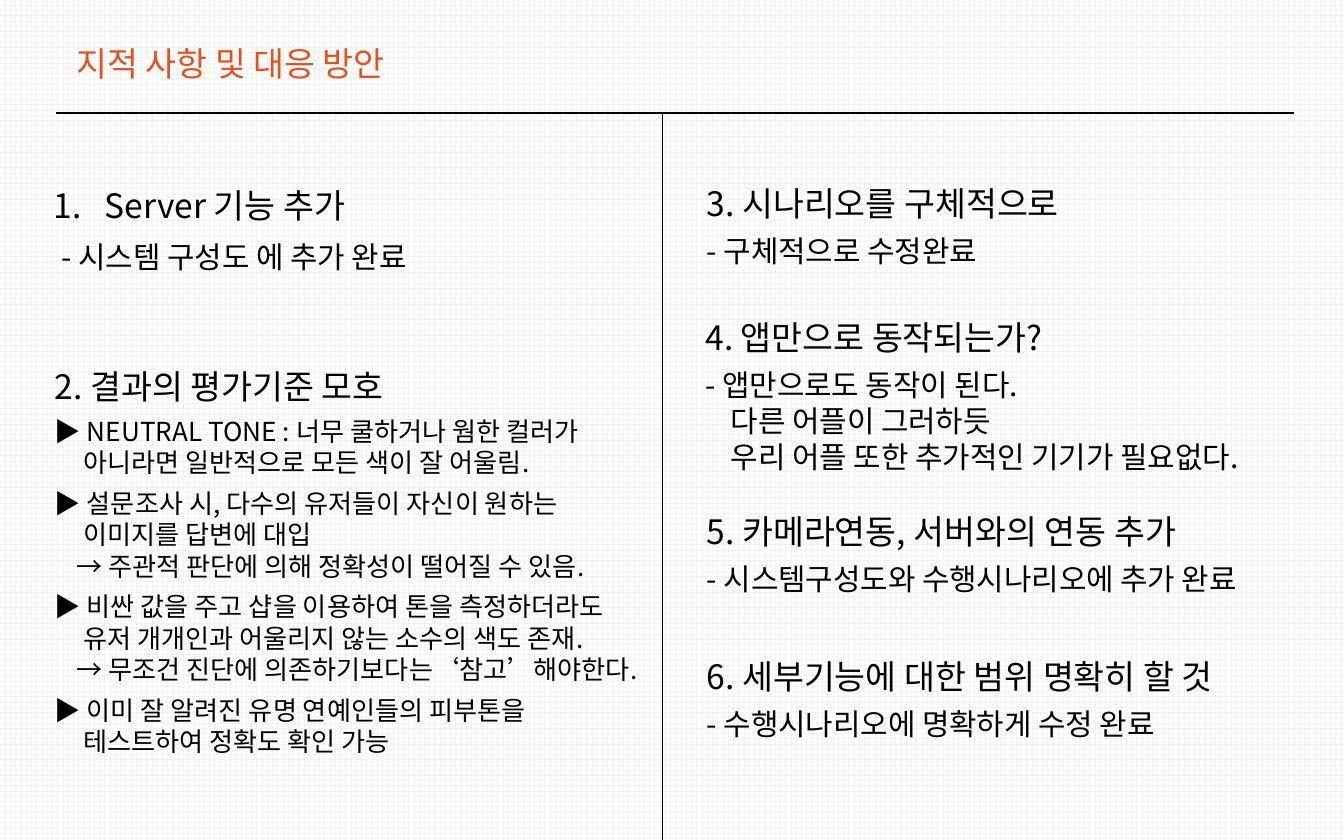
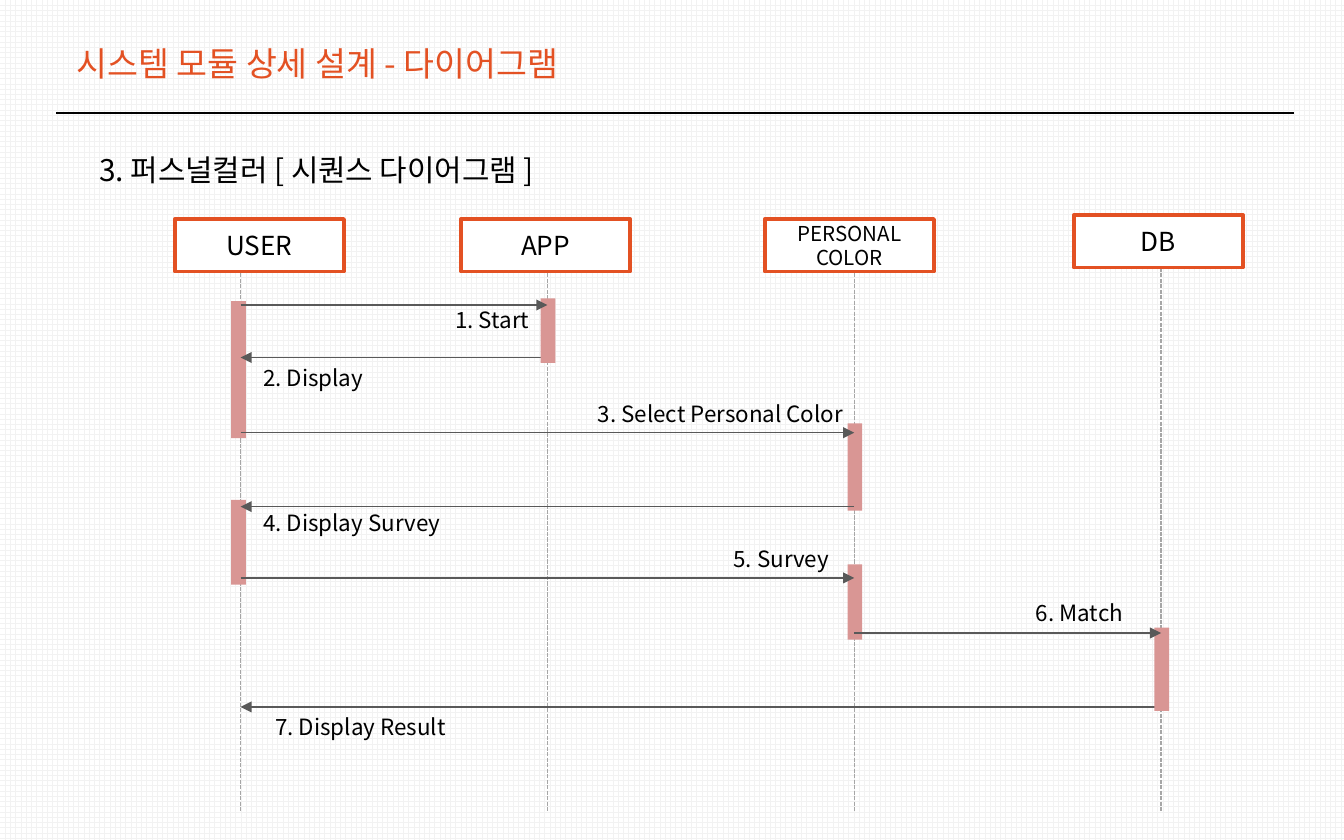
"""Build the review-response slide and the personal color sequence diagram."""
from dataclasses import dataclass

from lxml.etree import SubElement
from pptx import Presentation
from pptx.dml.color import RGBColor
from pptx.enum.dml import MSO_LINE, MSO_PATTERN
from pptx.enum.shapes import MSO_CONNECTOR, MSO_SHAPE
from pptx.enum.text import MSO_ANCHOR, MSO_AUTO_SIZE, PP_ALIGN
from pptx.oxml.ns import qn
from pptx.presentation import Presentation as Deck
from pptx.slide import Slide
from pptx.text.text import TextFrame
from pptx.util import Inches, Pt

SLIDE_WIDTH, SLIDE_HEIGHT = Inches(10), Inches(6.25)
COLUMN, ROW = SLIDE_WIDTH / 100, SLIDE_HEIGHT / 62.5
FONT = "Noto Sans CJK KR"
COLORS = {
    "text": "000000",
    "accent": "E35123",
    "paper": "FFFFFF",
    "grid": "F2F2F2",
    "lifeline": "A6A6A6",
    "message": "595959",
    "bar": "D99694",
}
TEXT_BOX_FORMAT = {"word_wrap": True, "auto_size": MSO_AUTO_SIZE.SHAPE_TO_FIT_TEXT}
ACTOR_FORMAT = {"word_wrap": True, "vertical_anchor": MSO_ANCHOR.MIDDLE}
RULE_TOP = 8.4
DIVIDER_LEFT = 49.3
ACTOR_WIDTH, ACTOR_HEIGHT = 12.6, 3.9
LIFELINE_LEFT, LIFELINE_GAP = 17.9, 22.83
LIFELINE_TOP, LIFELINE_BOTTOM = 18.7, 60.4
BAR_WIDTH = 1.1
LABEL_HEIGHT = 3


@dataclass(frozen=True)
class Area:
    left: float
    top: float
    width: float
    height: float

    def lengths(self) -> tuple[int, ...]:
        return (int(self.left * COLUMN), int(self.top * ROW),
                int(self.width * COLUMN), int(self.height * ROW))


@dataclass(frozen=True)
class Line:
    text: str
    size: float
    color: str = "text"
    before: float = 0
    margin: float = 0
    hanging: float = 0
    numbered: bool = False
    centered: bool = False


@dataclass(frozen=True)
class Note:
    area: Area
    lines: tuple[Line, ...]


@dataclass(frozen=True)
class Actor:
    name: str
    left: float
    top: float = 16.3
    size: float = 14
    bar_shift: float = -0.5


@dataclass(frozen=True)
class Bar:
    actor: int
    top: float
    height: float


@dataclass(frozen=True)
class Message:
    sender: int
    receiver: int
    top: float
    label: str
    label_left: float
    label_top: float
    label_width: float


def heading(text: str) -> Line:
    return Line(text, 18)


def answer(text: str) -> Line:
    return Line(text, 16, before=5, margin=1.9, hanging=1.9)


def finding(text: str) -> Line:
    return Line(text, 14, before=5, margin=2.1, hanging=2.1)


def conclusion(text: str) -> Line:
    return Line(text, 14, margin=1.6)


NOTES = (
    Note(Area(3, 13.3, 31, 7.7), (
        Line("Server 기능 추가", 18, margin=3.8, hanging=3.8, numbered=True),
        Line("- 시스템 구성도 에 추가 완료", 16, before=7, margin=0.6),
    )),
    Note(Area(3.1, 26.7, 46.8, 31), (
        heading("2. 결과의 평가기준 모호"),
        finding("▶ NEUTRAL TONE : 너무 쿨하거나 웜한 컬러가\n아니라면 일반적으로 모든 색이 잘 어울림."),
        finding("▶ 설문조사 시, 다수의 유저들이 자신이 원하는\n이미지를 답변에 대입"),
        conclusion("→ 주관적 판단에 의해 정확성이 떨어질 수 있음."),
        finding("▶ 비싼 값을 주고 샵을 이용하여 톤을 측정하더라도\n유저 개개인과 어울리지 않는 소수의 색도 존재."),
        conclusion("→ 무조건 진단에 의존하기보다는‘참고’해야한다."),
        finding("▶ 이미 잘 알려진 유명 연예인들의 피부톤을\n테스트하여 정확도 확인 가능"),
    )),
    Note(Area(51.6, 13.1, 29.1, 7.4), (
        heading("3. 시나리오를 구체적으로"),
        answer("- 구체적으로 수정완료"),
    )),
    Note(Area(51.5, 23.1, 44.1, 12.8), (
        heading("4. 앱만으로 동작되는가?"),
        answer("- 앱만으로도 동작이 된다.\n다른 어플이 그러하듯\n우리 어플 또한 추가적인 기기가 필요없다."),
    )),
    Note(Area(51.6, 37.5, 43.8, 7.4), (
        heading("5. 카메라연동, 서버와의 연동 추가"),
        answer("- 시스템구성도와 수행시나리오에 추가 완료"),
    )),
    Note(Area(51.6, 48.3, 41.8, 7.4), (
        heading("6. 세부기능에 대한 범위 명확히 할 것"),
        answer("- 수행시나리오에 명확하게 수정 완료"),
    )),
)

DIAGRAM_TITLE = Note(Area(6.4, 10.8, 36.4, 3.7),
                     (Line("3. 퍼스널컬러 [ 시퀀스 다이어그램 ]", 16),))
USER, APP, PERSONAL_COLOR, DB = range(4)
ACTORS = (
    Actor("USER", 13, bar_shift=-0.7),
    Actor("APP", 34.3),
    Actor("PERSONAL\nCOLOR", 56.9, size=11),
    Actor("DB", 79.9, top=16),
)
SEQUENCE = (
    Message(DB, USER, 52.6, "7. Display Result", 19.5, 52.6, 18.1),
    Bar(USER, 22.4, 10.2),
    Message(APP, USER, 26.6, "2. Display", 18.6, 26.6, 12.6),
    Bar(APP, 22.2, 4.8),
    Message(USER, APP, 22.7, "1. Start", 32.9, 22.3, 12.6),
    Bar(PERSONAL_COLOR, 31.5, 6.5),
    Message(USER, PERSONAL_COLOR, 32.2, "3. Select Personal Color", 43.5, 29.3, 21),
    Bar(USER, 37.2, 6.3),
    Message(PERSONAL_COLOR, USER, 37.7, "4. Display Survey", 18.6, 37.4, 19.7),
    Bar(PERSONAL_COLOR, 42, 5.6),
    Message(USER, PERSONAL_COLOR, 43, "5. Survey", 53.6, 40.1, 16.6),
    Bar(DB, 46.7, 6.2),
    Message(PERSONAL_COLOR, DB, 47.1, "6. Match", 76.1, 44.1, 12.6),
)


def rgb(name: str) -> RGBColor:
    return RGBColor.from_string(COLORS[name])


def write(frame: TextFrame, lines: tuple[Line, ...], frame_format: dict) -> None:
    for name, value in frame_format.items():
        setattr(frame, name, value)
    for index, line in enumerate(lines):
        paragraph = frame.add_paragraph() if index else frame.paragraphs[0]
        paragraph.text = line.text
        paragraph.space_before = Pt(line.before)
        paragraph.alignment = PP_ALIGN.CENTER if line.centered else PP_ALIGN.LEFT
        properties = paragraph._p.get_or_add_pPr()
        properties.set("marL", str(int(line.margin * COLUMN)))
        properties.set("indent", str(int(-line.hanging * COLUMN)))
        if line.numbered:
            SubElement(properties, qn("a:buAutoNum"), type="arabicPeriod")
        font_format = {"name": FONT, "size": Pt(line.size)}
        for run in paragraph.runs:
            for name, value in font_format.items():
                setattr(run.font, name, value)
            run.font.color.rgb = rgb(line.color)
            SubElement(run._r.get_or_add_rPr(), qn("a:ea"), typeface=FONT)


def add_note(slide: Slide, note: Note) -> None:
    shape = slide.shapes.add_textbox(*note.area.lengths())
    write(shape.text_frame, note.lines, TEXT_BOX_FORMAT)


def add_line(slide: Slide, start: tuple[float, float], end: tuple[float, float],
             color: str = "text", dashed: bool = False, arrow: bool = False) -> None:
    connector = slide.shapes.add_connector(
        MSO_CONNECTOR.STRAIGHT,
        int(start[0] * COLUMN), int(start[1] * ROW),
        int(end[0] * COLUMN), int(end[1] * ROW))
    connector.line.width = Pt(0.75)
    connector.line.color.rgb = rgb(color)
    if dashed:
        connector.line.dash_style = MSO_LINE.SQUARE_DOT
    properties = connector.element.spPr
    if arrow:
        SubElement(properties.find(qn("a:ln")), qn("a:tailEnd"), type="triangle")
    SubElement(properties, qn("a:effectLst"))


def add_rectangle(slide: Slide, area: Area, fill: str, outline: str = "") -> TextFrame:
    shape = slide.shapes.add_shape(MSO_SHAPE.RECTANGLE, *area.lengths())
    shape.shadow.inherit = False
    shape.fill.solid()
    shape.fill.fore_color.rgb = rgb(fill)
    if outline:
        shape.line.color.rgb = rgb(outline)
        shape.line.width = Pt(2)
    else:
        shape.line.fill.background()
    return shape.text_frame


def add_titled_slide(presentation: Deck, title: str, title_width: float) -> Slide:
    slide = presentation.slides.add_slide(presentation.slide_layouts[6])
    fill = slide.background.fill
    fill.patterned()
    fill.pattern = MSO_PATTERN.LARGE_GRID
    fill.fore_color.rgb = rgb("grid")
    fill.back_color.rgb = rgb("paper")
    add_line(slide, (4.2, RULE_TOP), (96.3, RULE_TOP))
    add_note(slide, Note(Area(4.7, 2.7, title_width, 4), (Line(title, 18, "accent"),)))
    return slide


def lifeline(actor: int) -> float:
    return LIFELINE_LEFT + actor * LIFELINE_GAP


def add_bar(slide: Slide, bar: Bar) -> None:
    left = lifeline(bar.actor) + ACTORS[bar.actor].bar_shift
    add_rectangle(slide, Area(left, bar.top, BAR_WIDTH, bar.height), "bar")


def add_message(slide: Slide, message: Message) -> None:
    add_line(slide, (lifeline(message.sender), message.top),
             (lifeline(message.receiver), message.top), "message", arrow=True)
    area = Area(message.label_left, message.label_top, message.label_width, LABEL_HEIGHT)
    add_note(slide, Note(area, (Line(message.label, 12),)))


def add_actor(slide: Slide, actor: Actor) -> None:
    area = Area(actor.left, actor.top, ACTOR_WIDTH, ACTOR_HEIGHT)
    frame = add_rectangle(slide, area, "paper", "accent")
    write(frame, (Line(actor.name, actor.size, centered=True),), ACTOR_FORMAT)


def build_review(presentation: Deck) -> None:
    slide = add_titled_slide(presentation, "지적 사항 및 대응 방안", 26.6)
    add_line(slide, (DIVIDER_LEFT, RULE_TOP), (DIVIDER_LEFT, 62.5))
    for note in NOTES:
        add_note(slide, note)


def build_sequence(presentation: Deck) -> None:
    slide = add_titled_slide(presentation, "시스템 모듈 상세 설계 - 다이어그램", 40.5)
    for index in range(len(ACTORS)):
        add_line(slide, (lifeline(index), LIFELINE_TOP),
                 (lifeline(index), LIFELINE_BOTTOM), "lifeline", dashed=True)
    for actor in ACTORS:
        add_actor(slide, actor)
    add_note(slide, DIAGRAM_TITLE)
    for step in SEQUENCE:
        if isinstance(step, Bar):
            add_bar(slide, step)
        else:
            add_message(slide, step)


def main() -> None:
    presentation = Presentation()
    presentation.slide_width, presentation.slide_height = SLIDE_WIDTH, SLIDE_HEIGHT
    build_review(presentation)
    build_sequence(presentation)
    presentation.save("out.pptx")


if __name__ == "__main__":
    main()
